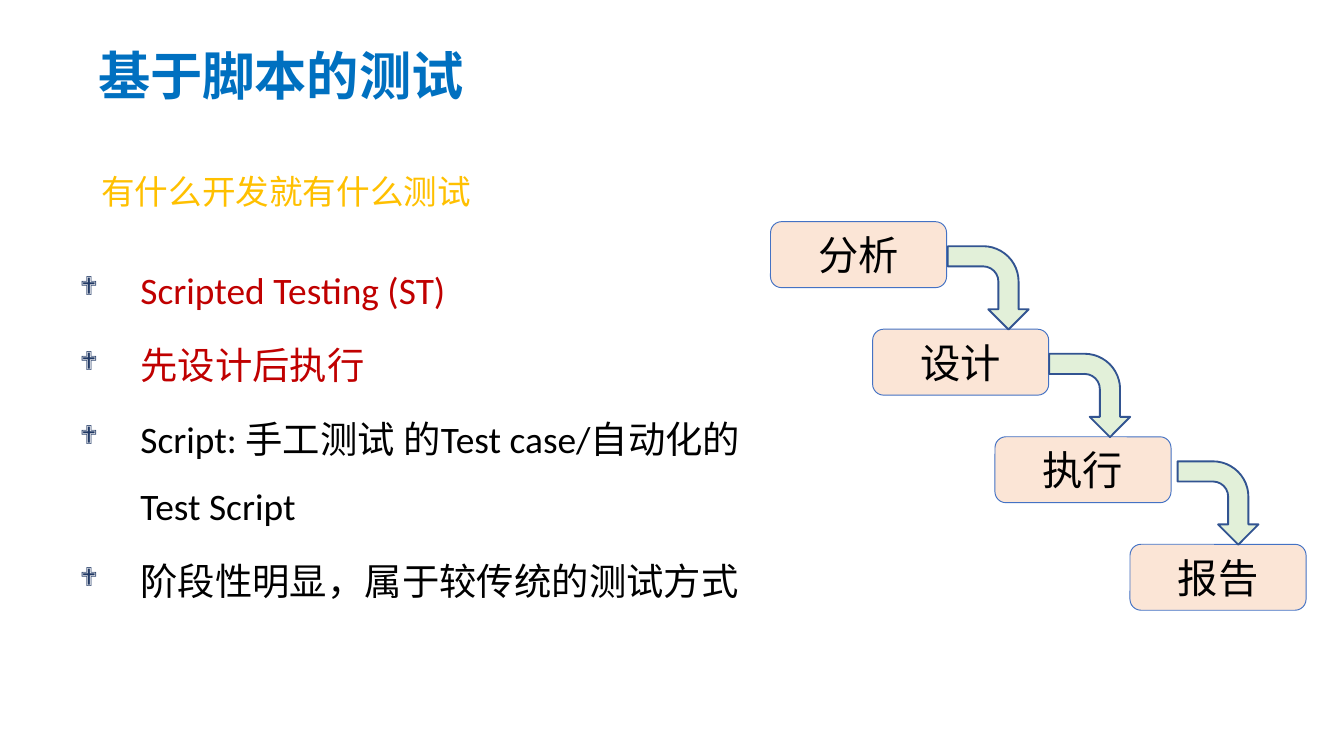
from lxml.etree import SubElement
from pptx import Presentation
from pptx.dml.color import RGBColor
from pptx.enum.shapes import MSO_SHAPE
from pptx.enum.text import MSO_ANCHOR, MSO_AUTO_SIZE, PP_ALIGN
from pptx.oxml.ns import qn
from pptx.util import Inches, Pt

COLORS = {
    "title": "0070C0", "lead": "FFC000", "key": "C00000", "text": "000000",
    "bullet": "203864", "step": "FBE5D6", "edge": "4472C4",
    "arrow": "E2F0D9", "rim": "325491",
}
LATIN, HAN = "Calibri", "Noto Sans CJK SC"
WIDE = Inches(10)
HIGH = WIDE * 9 // 16
COL, ROW = WIDE / 100, HIGH / 100  # grid of 100 columns by 100 rows


def color(name):
    return RGBColor.from_string(COLORS[name])


def grid(x, y, w, h):
    return [round(n) for n in (x * COL, y * ROW, w * COL, h * ROW)]


def style(para, size, tint, face=LATIN, bold=False):
    for run in para.runs:
        font = run.font
        font.size, font.bold, font.name = Pt(size), bold, face
        font.color.rgb = color(tint)
        SubElement(font._element, qn("a:ea"), typeface=HAN)


def inset(frame):
    frame.margin_left = frame.margin_right = Inches(0.08)
    frame.margin_top = frame.margin_bottom = Inches(0.04)


def bullet(para):
    props = para._p.get_or_add_pPr()
    props.set("marL", str(Inches(0.45)))
    props.set("indent", str(-Inches(0.45)))
    tint = SubElement(props, qn("a:buClr"))
    SubElement(tint, qn("a:srgbClr"), val=COLORS["bullet"])
    SubElement(props, qn("a:buSzPct"), val="70000")
    SubElement(props, qn("a:buFont"), typeface="Wingdings")
    SubElement(props, qn("a:buChar"), char="❖")


def add_title(slide, box, text):
    title = slide.shapes.title
    title.left, title.top, title.width, title.height = grid(*box)
    frame = title.text_frame
    frame.text = text
    frame.vertical_anchor = MSO_ANCHOR.BOTTOM
    inset(frame)
    para = frame.paragraphs[0]
    para.alignment, para.line_spacing = PP_ALIGN.LEFT, 0.9
    style(para, 28, "title", HAN, True)


def add_lead(slide, box, text):
    frame = slide.shapes.add_textbox(*grid(*box)).text_frame
    frame.text = text
    frame.word_wrap = False
    frame.auto_size = MSO_AUTO_SIZE.SHAPE_TO_FIT_TEXT
    style(frame.paragraphs[0], 18, "lead")


def add_points(slide, box, points):
    frame = slide.shapes.add_textbox(*grid(*box)).text_frame
    frame.word_wrap = True
    inset(frame)
    frame.text = "\n".join(text for text, _ in points)
    for i, (para, (_, tint)) in enumerate(zip(frame.paragraphs, points)):
        bullet(para)
        para.line_spacing = 1.5
        para.space_before = Pt(4 if i else 0)
        style(para, 20, tint)


def add_block(group, kind, box, fill, edge, width):
    block = group.shapes.add_shape(kind, *grid(*box))
    block.shadow.inherit = False
    block.fill.solid()
    block.fill.fore_color.rgb = color(fill)
    block.line.color.rgb = color(edge)
    block.line.width = Pt(width)
    return block


def add_flow(slide, box, steps):
    """Place steps as a staircase; each is (label, column shift, gap to arrow)."""
    left, top, wide, high = box
    step_w, step_h = 13.1, 8.72
    pitch = (high - step_h) / (len(steps) - 1)
    group = slide.shapes.add_group_shape()

    # Step boxes
    for i, (label, shift, _) in enumerate(steps):
        spot = (left + shift, top + i * pitch, step_w, step_h)
        step = add_block(group, MSO_SHAPE.ROUNDED_RECTANGLE, spot, "step", "edge", 0.5)
        frame = step.text_frame
        frame.text = label
        frame.vertical_anchor = MSO_ANCHOR.MIDDLE
        frame.paragraphs[0].alignment = PP_ALIGN.CENTER
        style(frame.paragraphs[0], 21.6, "text")

    # Bent arrows from each step down to the next
    for i, (_, shift, gap) in enumerate(steps[:-1]):
        spot = (left + shift + step_w + gap, top + i * pitch + 3.4, 6.2, 10.7)
        arrow = add_block(group, MSO_SHAPE.BENT_ARROW, spot, "arrow", "rim", 1)
        arrow.rotation = 90


def main():
    deck = Presentation()
    deck.slide_width, deck.slide_height = WIDE, HIGH
    slide = deck.slides.add_slide(deck.slide_layouts[5])
    add_title(slide, (6.5, 2.7, 65.3, 12.1), "基于脚本的测试")
    add_points(slide, (5.15, 31.65, 54.1, 51.4), [
        ("Scripted Testing (ST)", "key"),
        ("先设计后执行", "key"),
        ("Script: 手工测试 的Test case/自动化的Test Script", "text"),
        ("阶段性明显，属于较传统的测试方式", "text"),
    ])
    add_flow(slide, (57.33, 29.33, 39.9, 51.4), [
        ("分析", 0, 0), ("设计", 7.6, -0.05), ("执行", 16.7, 0.4), ("报告", 26.75, 0),
    ])
    add_lead(slide, (6.55, 21.8, 29.8, 7.1), "有什么开发就有什么测试")
    deck.save("out.pptx")


if __name__ == "__main__":
    main()
